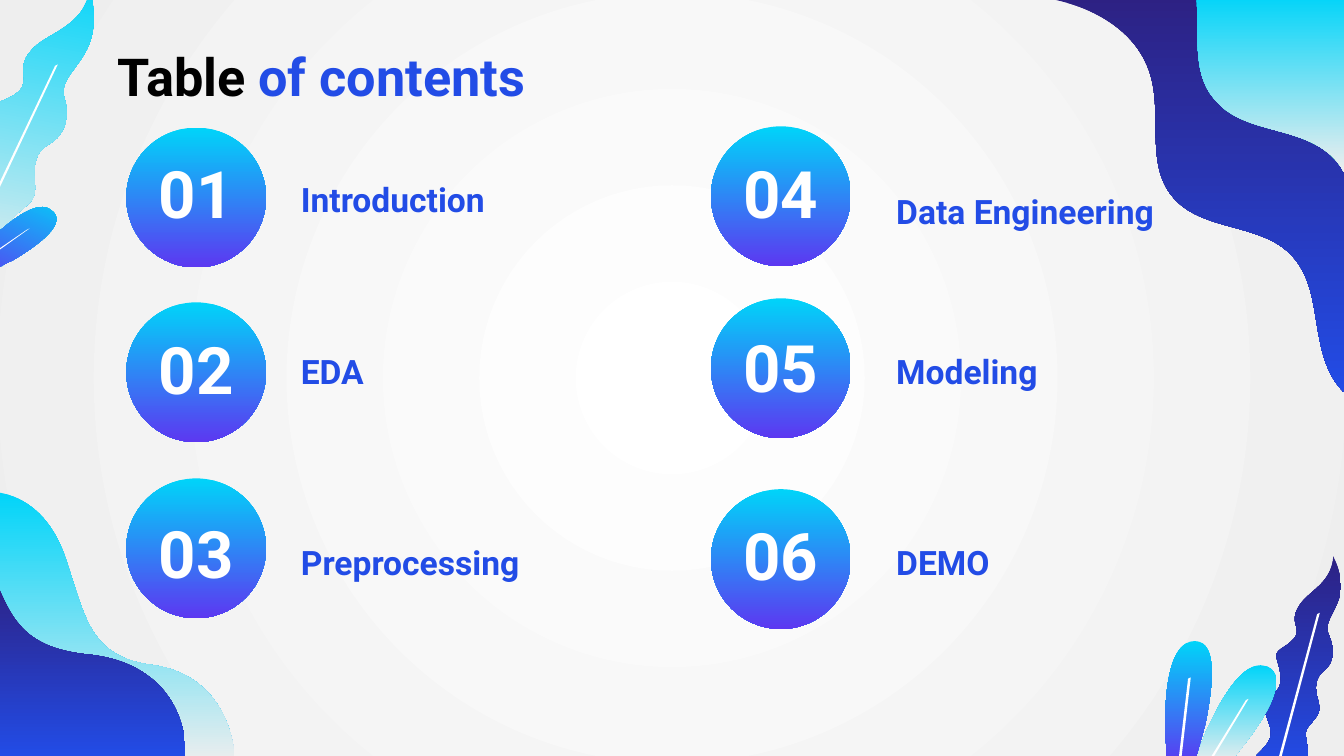
from math import cos, radians, sin

from pptx import Presentation
from pptx.dml.color import RGBColor
from pptx.enum.shapes import MSO_SHAPE
from pptx.enum.text import MSO_ANCHOR, PP_ALIGN
from pptx.oxml.ns import qn
from pptx.oxml.xmlchemy import OxmlElement
from pptx.util import Inches, Pt

W = Inches(10)
H = W * 9 // 16
COL = W // 1000
ROW = COL

WHITE = RGBColor(0xFF, 0xFF, 0xFF)
BLACK = RGBColor(0x00, 0x00, 0x00)
GREY = RGBColor(0xEE, 0xEE, 0xEE)
CYAN = RGBColor(0x00, 0xD4, 0xF9)
VIOLET = RGBColor(0x5C, 0x38, 0xF1)
NAVY = RGBColor(0x2D, 0x21, 0x83)
BLUE = RGBColor(0x22, 0x4C, 0xE6)

DEEP, PALE, BRIGHT, PLAIN = (NAVY, BLUE), (CYAN, GREY), (CYAN, VIOLET), (WHITE, WHITE)
NUMBER = {"size": Pt(35), "bold": True, "name": "Roboto"}
LABEL = {"size": Pt(18), "bold": True, "name": "Roboto"}
HEADING = {"size": Pt(28), "bold": True, "name": "Roboto"}

TOP_LEFT = [
    (PALE, 10.1, [
        (67, -7), (61, 22, 34, 24, 23, 38), (11, 51, 24, 60, 13, 69),
        (1, 78, -9, 75, -8, 86), (-7, 97, -3, 116, -19, 120),
        (-34, 125, -29, 135, -27, 149), (-25, 163, -30, 169, -46, 180),
        (-50, 183, -51, 186, -51, 189), (2, 198), (4, 194, 6, 189, 7, 184),
        (9, 165, 5, 165, 14, 158), (23, 150, 27, 149, 26, 136),
        (25, 122, 26, 113, 37, 107), (49, 100, 52, 86, 48, 73),
        (44, 59, 58, 52, 66, 34), (74, 15, 67, -7, 67, -7)],
     (42, 48, -26.5, 193)),
    (BRIGHT, 23.2, [
        (36, 155), (25, 150, 6, 166, -6, 177), (-12, 183, -17, 187, -17, 187),
        (-19, 189, -20, 190, -22, 192), (-3, 200), (1, 198, 6, 195, 9, 194),
        (26, 184, 49, 168, 40, 158), (39, 157, 37, 156, 36, 155)],
     (21, 170, -14, 195)),
]
TOP_RIGHT = [
    (DEEP, 0, [
        (0, -4), (1, -4, 2, -4, 2, -3), (41, -1, 84, 18, 95, 56),
        (104, 86, 91, 123, 112, 147), (133, 172, 176, 166, 199, 189),
        (221, 211, 215, 246, 227, 274), (230, 281, 234, 287, 239, 292),
        (239, -4)], None),
    (PALE, 0, [
        (129, -4), (132, 23, 125, 54, 143, 74), (164, 100, 207, 93, 231, 117),
        (234, 120, 237, 124, 239, 128), (239, -4)], None),
]
BOTTOM_LEFT = [
    (PALE, 0, [
        (-5, 0), (-5, 203), (175, 203), (174, 169, 156, 135, 114, 129),
        (67, 123, 64, 95, 49, 50), (35, 8, 7, 1, -5, 0)], None),
    (DEEP, 0, [
        (-5, 61), (-5, 197), (138, 197), (139, 162, 118, 126, 65, 121),
        (18, 116, 8, 95, -5, 61)], None),
]
BOTTOM_RIGHT = [
    (DEEP, 0, [
        (125, 0), (124, 21, 105, 26, 99, 38), (92, 49, 102, 54, 96, 61),
        (89, 69, 81, 69, 83, 76), (85, 84, 90, 97, 80, 102),
        (69, 107, 74, 114, 77, 124), (81, 134, 78, 138, 68, 148),
        (65, 151, 65, 153, 65, 155), (104, 155),
        (106, 152, 106, 148, 106, 145), (105, 131, 102, 131, 108, 125),
        (113, 118, 116, 117, 114, 108), (111, 98, 111, 91, 118, 85),
        (126, 79, 126, 69, 122, 59), (117, 50, 126, 43, 130, 29),
        (133, 15, 125, 0, 125, 0)],
     (114, 42, 84, 155)),
    (PALE, 0, [
        (71, 81), (55, 81, 40, 110, 31, 129), (27, 139, 24, 147, 24, 147),
        (22, 150, 21, 153, 20, 155), (47, 155), (51, 150, 55, 145, 58, 141),
        (74, 121, 93, 90, 76, 82), (75, 82, 73, 81, 71, 81)],
     (61, 106, 31.5, 155)),
    (BRIGHT, 0, [
        (22, 63), (3, 63, 0, 101, 0, 124), (0, 135, 1, 143, 1, 143),
        (1, 147, 0, 150, 1, 155), (21, 155), (24, 146, 28, 132, 30, 124),
        (35, 99, 40, 63, 22, 63)],
     (18, 90, 10.5, 155)),
]
ORNAMENTS = [((867, 414), BOTTOM_RIGHT), ((0, 366), BOTTOM_LEFT),
             ((761, 0), TOP_RIGHT), ((0, 0), TOP_LEFT)]

ITEMS = [
    ((94, 95), "01", 16, "Introduction", (120, -1)),
    ((94, 225), "02", 17, "EDA", (120, -3)),
    ((94, 356), "03", 23, "Preprocessing", (120, 8)),
    ((529, 94), "04", 17, "Data Engineering", (128, 9)),
    ((529, 222), "05", 19, "Modeling", (128, 0)),
    ((529, 364), "06", 17, "DEMO", (128, 0)),
]


def blend(fill, colors):
    fill.gradient()
    fill.gradient_angle = 270
    for stop, color, position in zip(fill.gradient_stops, colors, (0, 1)):
        stop.color.rgb = color
        stop.position = position


def turn(x, y, angle):
    a = radians(angle)
    return x * cos(a) - y * sin(a), x * sin(a) + y * cos(a)


def scaled(seg, angle):
    pairs = [turn(x, y, -angle) for x, y in zip(seg[::2], seg[1::2])]
    return [(round(x * COL), round(y * ROW)) for x, y in pairs]


def add_outline(s, box, colors, angle, segments):
    segs = [scaled(seg, angle) for seg in segments]
    anchors = [seg[-1] for seg in segs]
    left, top = (min(values) for values in zip(*anchors))
    builder = s.shapes.build_freeform(*anchors[0], scale=1.0)
    builder.add_line_segments(anchors[1:], close=True)
    sp = builder.convert_to_shape()
    for line, seg in zip(list(sp._element.iter(qn("a:lnTo"))), segs[1:]):
        if len(seg) == 3:
            curve = OxmlElement("a:cubicBezTo")
            for x, y in seg:
                pt = OxmlElement("a:pt")
                pt.set("x", str(x - left))
                pt.set("y", str(y - top))
                curve.append(pt)
            line.getparent().replace(line, curve)
    x, y = turn(left + sp.width / 2, top + sp.height / 2, angle)
    sp.left = round(box[0] * COL + x - sp.width / 2)
    sp.top = round(box[1] * ROW + y - sp.height / 2)
    sp.rotation = angle
    sp.shadow.inherit = False
    sp.line.fill.background()
    if colors == PLAIN:
        sp.fill.solid()
        sp.fill.fore_color.rgb = WHITE
    else:
        blend(sp.fill, colors)


def add_ornament(s, box, parts):
    for colors, angle, segments, vein in parts:
        add_outline(s, box, colors, angle, segments)
        if vein:
            x1, y1, x2, y2 = vein
            strip = [(x1 - 1, y1 + 1), (x1 + 1, y1), (x2 + 1, y2), (x2 - 1, y2)]
            add_outline(s, box, PLAIN, angle, strip)


def add_text(s, box, runs, fmt, anchor=MSO_ANCHOR.BOTTOM, align=PP_ALIGN.LEFT):
    x, y, w, h = box
    tf = s.shapes.add_textbox(x * COL, y * ROW, w * COL, h * ROW).text_frame
    margins = dict.fromkeys(("margin_left", "margin_top", "margin_right", "margin_bottom"),
                            Inches(0.1))
    for key, value in {"word_wrap": True, "vertical_anchor": anchor, **margins}.items():
        setattr(tf, key, value)
    p = tf.paragraphs[0]
    p.alignment = align
    for text, color in runs:
        r = p.add_run()
        r.text = text
        for key, value in fmt.items():
            setattr(r.font, key, value)
        r.font.color.rgb = color


def add_item(s, box, number, drop, label, offset):
    x, y = box
    dx, dy = offset
    sp = s.shapes.add_shape(MSO_SHAPE.OVAL, x * COL, y * ROW, 104 * COL, 104 * ROW)
    sp.shadow.inherit = False
    sp.line.fill.background()
    blend(sp.fill, BRIGHT)
    add_text(s, (x, y + drop, 104, 71), [(number, WHITE)], NUMBER, align=PP_ALIGN.CENTER)
    add_text(s, (x + dx, y + dy, 225, 79), [(label, BLUE)], LABEL)


def add_backdrop(s):
    blend(s.background.fill, (WHITE, GREY))
    grad = s._element.find(".//" + qn("a:gradFill"))
    grad.remove(grad.find(qn("a:lin")))
    radial = OxmlElement("a:path")
    radial.set("path", "circle")
    center = OxmlElement("a:fillToRect")
    for side in "ltrb":
        center.set(side, "50000")
    radial.append(center)
    grad.append(radial)


def main():
    prs = Presentation()
    prs.slide_width, prs.slide_height = W, H
    s = prs.slides.add_slide(prs.slide_layouts[6])
    add_backdrop(s)
    for box, parts in ORNAMENTS:
        add_ornament(s, box, parts)
    add_text(s, (78, 23, 844, 63), [("Table ", BLACK), ("of contents", BLUE)],
             HEADING, MSO_ANCHOR.TOP)
    for item in ITEMS:
        add_item(s, *item)
    prs.save("out.pptx")


if __name__ == "__main__":
    main()
